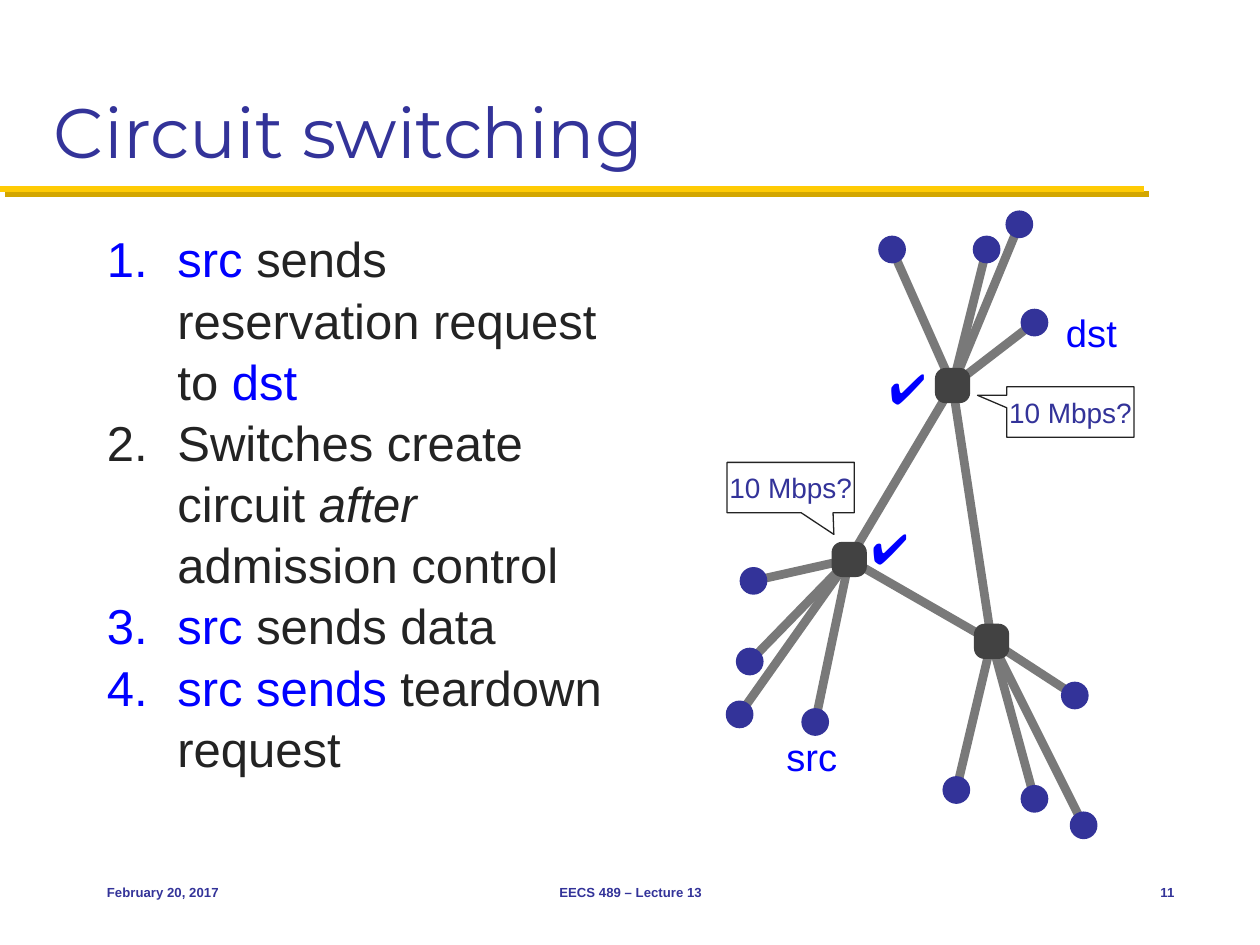
from dataclasses import dataclass

from lxml.etree import SubElement
from pptx import Presentation
from pptx.dml.color import RGBColor as Rgb
from pptx.enum.shapes import MSO_CONNECTOR as Connector, MSO_SHAPE as Shape
from pptx.enum.text import MSO_ANCHOR as Anchor, PP_ALIGN as Align
from pptx.oxml.ns import qn
from pptx.util import Inches, Pt


@dataclass(frozen=True)
class Theme:
    navy: Rgb = Rgb.from_string("333399")
    blue: Rgb = Rgb.from_string("0000FF")
    ink: Rgb = Rgb.from_string("232323")
    link: Rgb = Rgb.from_string("797979")
    switch: Rgb = Rgb.from_string("424242")
    gold: Rgb = Rgb.from_string("FFCB05")
    gold_shade: str = "D3A600"
    heading_font: str = "Montserrat"
    body_font: str = "Arial"
    check_font: str = "Calibri"
    title_size: float = 40
    body_size: float = 28
    check_size: float = 24
    label_size: float = 21.8
    callout_size: float = 16
    footer_size: float = 7.5


THEME = Theme()

# The grid has 100 columns and 75 rows of 0.1 inch
COLUMNS, ROWS = 100, 75
HOST_SIZE, SWITCH_SIZE = 2.2, 2.8

# Each switch: its centre and the centres of its hosts
NETWORK = {
    (75.6, 30.6): [(70.8, 19.8), (78.3, 19.8), (80.9, 17.8), (82.1, 25.6)],
    (67.4, 44.4): [(59.8, 46.1), (59.5, 52.5), (58.7, 56.7), (64.7, 57.3)],
    (78.7, 50.9): [(75.9, 62.7), (82.1, 63.4), (86, 65.5), (85.3, 55.2)],
}

# Steps as (text, colour, italic) pieces
STEPS = [
    [("src", THEME.blue, False),
     (" sends reservation request to ", THEME.ink, False),
     ("dst", THEME.blue, False)],
    [("Switches create circuit ", THEME.ink, False),
     ("after", THEME.ink, True),
     (" admission control", THEME.ink, False)],
    [("src ", THEME.blue, False), ("sends data", THEME.ink, False)],
    [("src sends ", THEME.blue, False), ("teardown request", THEME.ink, False)],
]


def grid(*cells):
    return [Inches(cell / 10) for cell in cells]


def style(font, name, size, color):
    font.name, font.size = name, Pt(size)
    font.color.rgb = color


def set_insets(frame, across, down):
    frame.margin_left = frame.margin_right = Inches(across)
    frame.margin_top = frame.margin_bottom = Inches(down)


def add_text(slide, box, text, font, size, color, align=Align.LEFT,
             anchor=Anchor.MIDDLE, bold=False, insets=(0.1, 0.05)):
    frame = slide.shapes.add_textbox(*grid(*box)).text_frame
    frame.text = text
    frame.word_wrap = False
    frame.vertical_anchor = anchor
    set_insets(frame, *insets)
    paragraph = frame.paragraphs[0]
    paragraph.alignment = align
    style(paragraph.runs[0].font, font, size, color)
    paragraph.runs[0].font.bold = bold


def add_steps(slide, box):
    frame = slide.shapes.add_textbox(*grid(*box)).text_frame
    frame.word_wrap = True
    for index, pieces in enumerate(STEPS):
        paragraph = frame.add_paragraph() if index else frame.paragraphs[0]
        paragraph.line_spacing = 1.04
        properties = paragraph._p.get_or_add_pPr()
        properties.set("marL", str(Inches(0.56)))
        properties.set("indent", str(-Inches(0.56)))
        SubElement(properties, qn("a:buFont"), typeface="+mj-lt")
        SubElement(properties, qn("a:buAutoNum"), type="arabicPeriod")
        for text, color, italic in pieces:
            run = paragraph.add_run()
            run.text = text
            style(run.font, THEME.body_font, THEME.body_size, color)
            run.font.italic = italic


def add_line(slide, start, end, color, width):
    line = slide.shapes.add_connector(Connector.STRAIGHT, *grid(*start, *end))
    line.line.color.rgb = color
    line.line.width = Pt(width)
    return SubElement(line._element.spPr, qn("a:effectLst"))


def add_title_rule(slide):
    effects = add_line(slide, (0, 15), (90.8, 15), THEME.gold, 3.5)
    shadow = SubElement(effects, qn("a:outerShdw"), dist=str(Pt(4.2)),
                        dir="2700000", algn="ctr", rotWithShape="0")
    SubElement(shadow, qn("a:srgbClr"), val=THEME.gold_shade)


def add_node(slide, kind, center, size, color):
    left, top = (middle - size / 2 for middle in center)
    node = slide.shapes.add_shape(kind, *grid(left, top, size, size))
    node.shadow.inherit = False
    node.fill.solid()
    node.fill.fore_color.rgb = color
    node.line.fill.background()
    return node


def add_network(slide):
    upper, left, right = NETWORK
    links = [(upper, left), (left, right), (upper, right)]
    links += [(switch, host) for switch, hosts in NETWORK.items() for host in hosts]
    for start, end in links:
        add_line(slide, start, end, THEME.link, 5)
    for switch, hosts in NETWORK.items():
        for host in hosts:
            add_node(slide, Shape.OVAL, host, HOST_SIZE, THEME.navy)
        box = add_node(slide, Shape.ROUNDED_RECTANGLE, switch, SWITCH_SIZE, THEME.switch)
        box.adjustments[0] = 0.3


def add_callout(slide, left, top, pointer):
    callout = slide.shapes.add_shape(Shape.RECTANGULAR_CALLOUT,
                                     *grid(left, top, 10.1, 4))
    callout.adjustments[0], callout.adjustments[1] = pointer
    callout.shadow.inherit = False
    callout.fill.background()
    callout.line.color.rgb = THEME.ink
    callout.line.width = Pt(0.75)
    frame = callout.text_frame
    frame.text = "10 Mbps?"
    frame.word_wrap = False
    frame.vertical_anchor = Anchor.MIDDLE
    set_insets(frame, 0, 0)
    paragraph = frame.paragraphs[0]
    paragraph.alignment = Align.CENTER
    style(paragraph.runs[0].font, THEME.body_font, THEME.callout_size, THEME.navy)


def main():
    deck = Presentation()
    deck.slide_width, deck.slide_height = grid(COLUMNS, ROWS)
    slide = deck.slides.add_slide(deck.slide_layouts[6])

    # Heading and steps
    add_title_rule(slide)
    add_text(slide, (3.3, 1.7, 93.3, 12.5), "Circuit switching", THEME.heading_font,
             THEME.title_size, THEME.navy, anchor=Anchor.BOTTOM)
    add_steps(slide, (7.5, 17.5, 42.5, 48.3))

    # Footer
    for left, width, text, align in [
        (7.5, 20.8, "February 20, 2017", Align.LEFT),
        (34.2, 31.7, "EECS 489 – Lecture 13", Align.CENTER),
        (87.5, 6.7, "11", Align.RIGHT),
    ]:
        add_text(slide, (left, 68.3, width, 5), text, THEME.body_font,
                 THEME.footer_size, THEME.navy, align, bold=True)

    # Network with its end points, admission questions and answers
    add_network(slide)
    for left, top, name in [(84.2, 24.1, "dst"), (62, 57.8, "src")]:
        add_text(slide, (left, top, 4.9, 4.5), name, THEME.body_font,
                 THEME.label_size, THEME.blue, insets=(0.04, 0.04))
    add_callout(slide, 57.7, 36.7, (0.34, 0.93))
    add_callout(slide, 79.9, 30.7, (-0.73, -0.33))
    for left, top in [(68.2, 41), (69.6, 28.3)]:
        add_text(slide, (left, top, 5.4, 5), "✔️", THEME.check_font,
                 THEME.check_size, THEME.blue, anchor=Anchor.TOP)

    deck.save("out.pptx")


if __name__ == "__main__":
    main()
